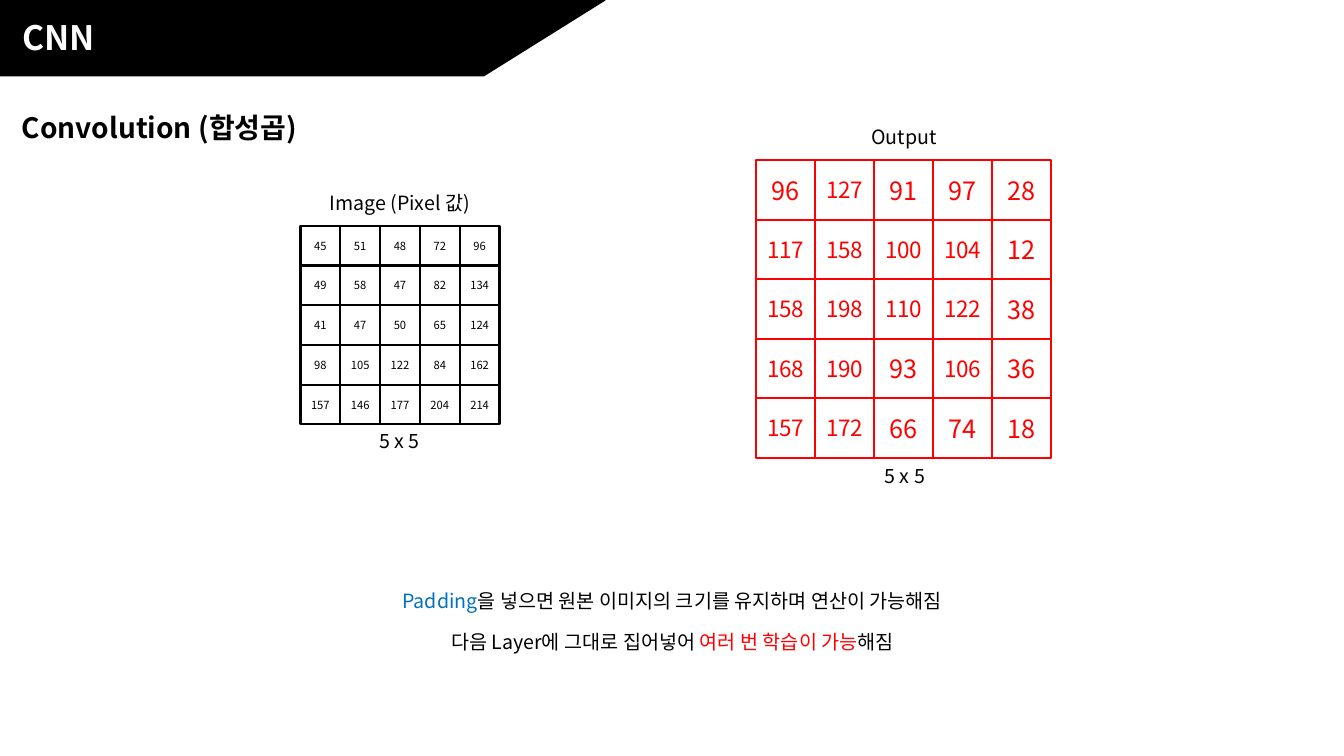
from pptx import Presentation
from pptx.dml.color import RGBColor
from pptx.enum.shapes import MSO_SHAPE
from pptx.enum.text import MSO_ANCHOR, PP_ALIGN
from pptx.util import Inches, Pt

RECTANGLE = MSO_SHAPE.RECTANGLE
PARALLELOGRAM = MSO_SHAPE.FLOWCHART_DATA
LEFT, CENTER = PP_ALIGN.LEFT, PP_ALIGN.CENTER
TOP, MIDDLE = MSO_ANCHOR.TOP, MSO_ANCHOR.MIDDLE

FONT = "Noto Sans CJK KR"
COLORS = {"black": "000000", "white": "FFFFFF", "red": "FF0000", "blue": "0070C0"}

TITLE = "CNN"
SUBTITLE = "Convolution (합성곱)"
IMAGE_PIXELS = [
    [45, 51, 48, 72, 96],
    [49, 58, 47, 82, 134],
    [41, 47, 50, 65, 124],
    [98, 105, 122, 84, 162],
    [157, 146, 177, 204, 214],
]
OUTPUT_VALUES = [
    [96, 127, 91, 97, 28],
    [117, 158, 100, 104, 12],
    [158, 198, 110, 122, 38],
    [168, 190, 93, 106, 36],
    [157, 172, 66, 74, 18],
]
CAPTIONS = [
    ("Output", 8.08, 1.19),
    ("Image (Pixel 값)", 3.08, 1.84),
    ("5 x 5", 3.08, 4.21),
    ("5 x 5", 8.09, 4.55),
]
SUMMARY = [
    [("Padding", "blue"), ("을 넣으면 원본 이미지의 크기를 유지하며 연산이 가능해짐", "black")],
    [("다음 Layer에 그대로 집어넣어 ", "black"), ("여러 번 학습이 가능", "red"), ("해짐", "black")],
]


def rgb(name):
    return RGBColor.from_string(COLORS[name])


def write(frame, lines, size, align=LEFT, anchor=TOP, bold=False, gap=0):
    frame.word_wrap = True
    frame.vertical_anchor = anchor
    for index, line in enumerate(lines):
        paragraph = frame.add_paragraph() if index else frame.paragraphs[0]
        paragraph.alignment = align
        paragraph.space_before = Pt(gap if index else 0)
        for text, color in line:
            run = paragraph.add_run()
            run.text = text
            run.font.name = FONT
            run.font.size = Pt(size)
            run.font.bold = bold
            run.font.color.rgb = rgb(color)


def add_text(left, top, width, height, lines, size, **style):
    box = slide.shapes.add_textbox(Inches(left), Inches(top), Inches(width), Inches(height))
    write(box.text_frame, lines, size, **style)


def add_block(shapes, kind, left, top, width, height, fill, line, weight):
    block = shapes.add_shape(kind, Inches(left), Inches(top), Inches(width), Inches(height))
    block.shadow.inherit = False
    if fill:
        block.fill.solid()
        block.fill.fore_color.rgb = rgb(fill)
    else:
        block.fill.background()
    block.line.color.rgb = rgb(line)
    block.line.width = Pt(weight)
    return block


def add_matrix(values, left, top, pitch_x, pitch_y, fill, color, size_for):
    cells = slide.shapes.add_group_shape().shapes
    for row, numbers in enumerate(values):
        for column, number in enumerate(numbers):
            cell = add_block(cells, RECTANGLE, left + column * pitch_x, top + row * pitch_y,
                             pitch_x, pitch_y, fill, color, 1.5)
            frame = cell.text_frame
            frame.margin_left = frame.margin_right = 0
            write(frame, [[(str(number), color)]], size_for(number), CENTER, MIDDLE)


deck = Presentation()
deck.slide_width, deck.slide_height = Inches(13.33), Inches(7.5)
slide = deck.slides.add_slide(deck.slide_layouts[5])

for kind, width in [(RECTANGLE, 1.98), (PARALLELOGRAM, 6)]:
    add_block(slide.shapes, kind, 0, 0, width, 0.75, "black", "black", 1)

title = slide.shapes.title
title.left, title.top = Inches(0.12), Inches(0.12)
title.width, title.height = Inches(3.71), Inches(0.5)
write(title.text_frame, [[(TITLE, "white")]], 24, anchor=MIDDLE, bold=True)
slide.shapes._spTree.append(title._element)

add_text(0.12, 1.05, 8.44, 0.44, [[(SUBTITLE, "black")]], 20, bold=True)
for caption, left, top in CAPTIONS:
    add_text(left, top, 1.77, 0.34, [[(caption, "black")]], 14, align=CENTER)

add_matrix(IMAGE_PIXELS, 2.98, 2.24, 0.395, 0.394, None, "black", lambda number: 8)
add_matrix(OUTPUT_VALUES, 7.5, 1.59, 0.585, 0.59, "white", "red",
           lambda number: 16 if number >= 100 else 18)

add_text(3.37, 5.79, 6.6, 0.81, SUMMARY, 14, align=CENTER, gap=13)

deck.save("out.pptx")
